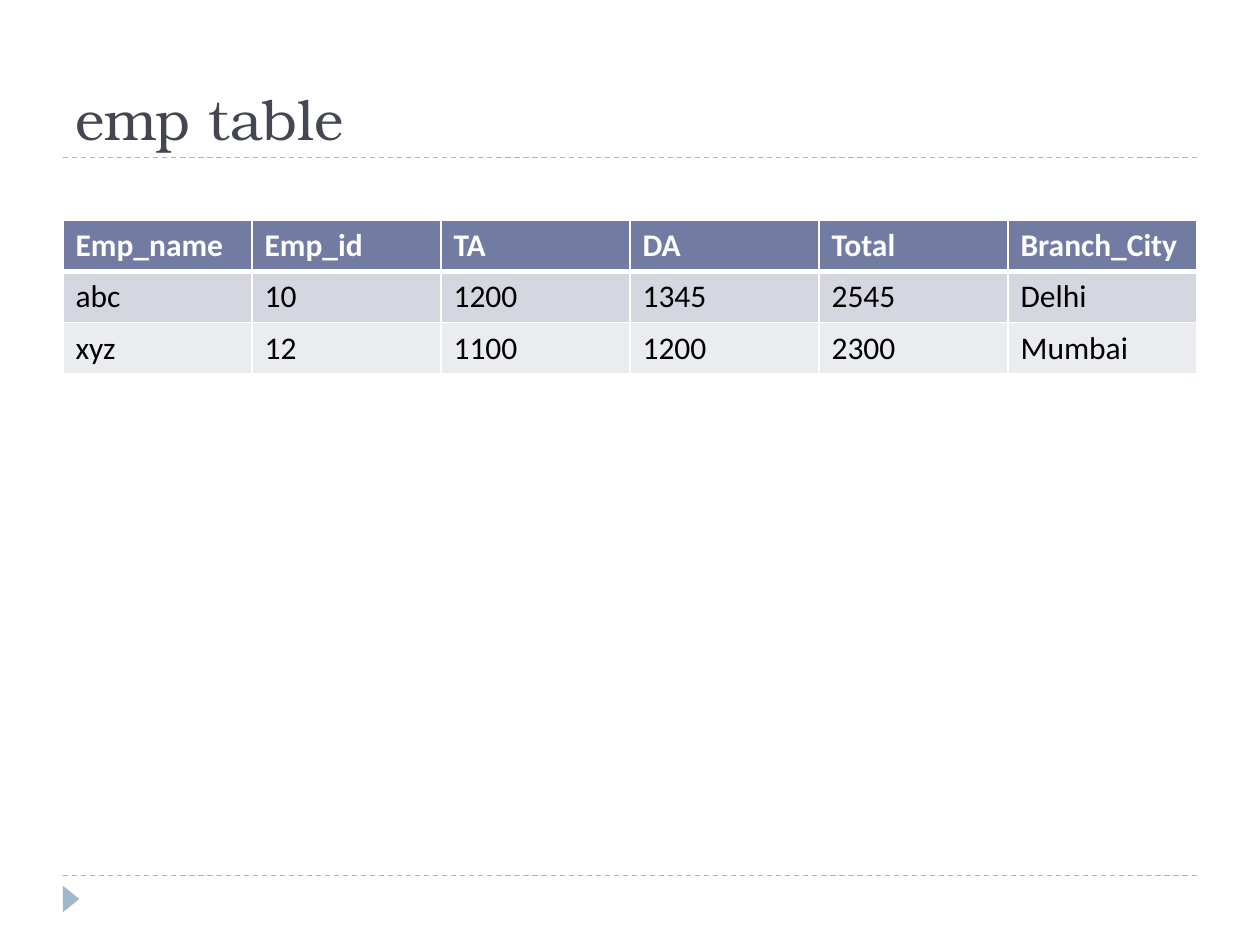
from dataclasses import dataclass

import pptx
import pptx.dml.color
import pptx.enum.dml
import pptx.enum.shapes
import pptx.enum.text
import pptx.oxml
import pptx.oxml.ns
import pptx.util

Pt = pptx.util.Pt
RGB = pptx.dml.color.RGBColor.from_string


@dataclass(frozen=True)
class Theme:
    title: str = "464653"
    accent: str = "9FB8CD"
    head: str = "727CA3"
    bands: tuple[str, ...] = ("D5D7E0", "EBECF0")
    white: str = "FFFFFF"
    black: str = "000000"
    serif: str = "TeX Gyre Bonum"
    sans: str = "Calibri"
    big: float = 32
    body: float = 18


@dataclass(frozen=True)
class Style:
    fill: str
    color: str
    bold: bool
    top: float = 1
    base: float = 1


THEME = Theme()
LEFT, WIDTH = 36, 648
RULES = (500.4, 90)
ROW = 29.2
ROWS = (
    ("Emp_name", "Emp_id", "TA", "DA", "Total", "Branch_City"),
    ("abc", "10", "1200", "1345", "2545", "Delhi"),
    ("xyz", "12", "1100", "1200", "2300", "Mumbai"),
)
STYLES = (
    Style(THEME.head, THEME.white, True, base=3),
    Style(THEME.bands[0], THEME.black, False, top=3),
    Style(THEME.bands[1], THEME.black, False),
)


def set_font(frame, face: str, size: float, color: str, bold: bool = False) -> None:
    for run in frame.paragraphs[0].runs:
        run.font.name = face
        run.font.size = Pt(size)
        run.font.bold = bold
        run.font.color.rgb = RGB(color)


def add_rule(slide, top: float) -> None:
    rule = slide.shapes.add_connector(
        pptx.enum.shapes.MSO_CONNECTOR.STRAIGHT,
        Pt(LEFT), Pt(top), Pt(LEFT + WIDTH), Pt(top))
    rule.line.color.rgb = RGB(THEME.accent)
    rule.line.width = Pt(0.75)
    rule.line.dash_style = pptx.enum.dml.MSO_LINE.DASH
    rule._element.spPr.append(pptx.oxml.parse_xml(
        f"<a:effectLst {pptx.oxml.ns.nsdecls('a')}/>"))


def add_mark(slide) -> None:
    mark = slide.shapes.add_shape(
        pptx.enum.shapes.MSO_SHAPE.ISOSCELES_TRIANGLE,
        Pt(33.1), Pt(509), Pt(15.1), Pt(9.4))
    mark.rotation = 90
    mark.shadow.inherit = False
    mark.fill.solid()
    mark.fill.fore_color.rgb = RGB(THEME.accent)
    mark.line.fill.background()


def add_title(slide, text: str) -> None:
    frame = slide.shapes.add_textbox(Pt(LEFT), Pt(12), Pt(WIDTH), Pt(78)).text_frame
    frame.word_wrap = True
    frame.vertical_anchor = pptx.enum.text.MSO_ANCHOR.BOTTOM
    frame.text = text
    set_font(frame, THEME.serif, THEME.big, THEME.title)


def add_edges(cell, style: Style) -> None:
    """Draw the white cell borders; call before filling, as the schema orders."""
    props = cell._tc.get_or_add_tcPr()
    for side, width in (("L", 1), ("R", 1), ("T", style.top), ("B", style.base)):
        props.append(pptx.oxml.parse_xml(
            f'<a:ln{side} {pptx.oxml.ns.nsdecls("a")} w="{Pt(width)}">'
            f'<a:solidFill><a:srgbClr val="{THEME.white}"/></a:solidFill>'
            f'</a:ln{side}>'))


def add_grid(slide) -> None:
    grid = slide.shapes.add_table(
        len(ROWS), len(ROWS[0]), Pt(LEFT), Pt(126), Pt(WIDTH), Pt(ROW * len(ROWS)))
    for row, texts, style in zip(grid.table.rows, ROWS, STYLES):
        row.height = Pt(ROW)
        for cell, text in zip(row.cells, texts):
            cell.text_frame.text = text
            set_font(cell.text_frame, THEME.sans, THEME.body, style.color, style.bold)
            add_edges(cell, style)
            cell.fill.solid()
            cell.fill.fore_color.rgb = RGB(style.fill)
    grid.height = Pt(108.7)


def main() -> None:
    deck = pptx.Presentation()
    deck.slide_width, deck.slide_height = Pt(720), Pt(540)
    slide = deck.slides.add_slide(deck.slide_layouts[6])
    for top in RULES:
        add_rule(slide, top)
    add_mark(slide)
    add_title(slide, "emp table")
    add_grid(slide)
    deck.save("out.pptx")


if __name__ == "__main__":
    main()
